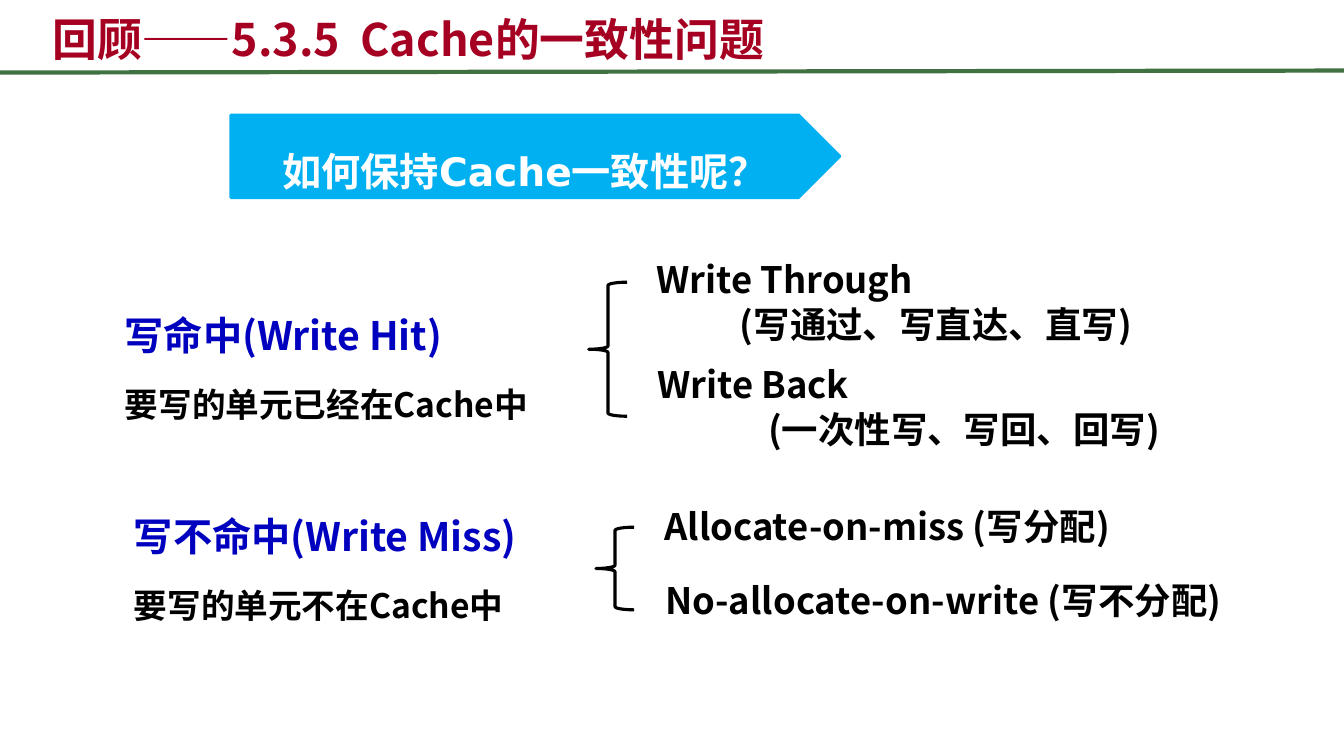
from lxml import etree
from pptx import Presentation
from pptx.dml.color import RGBColor
from pptx.enum.shapes import MSO_CONNECTOR, MSO_SHAPE
from pptx.enum.text import MSO_ANCHOR, MSO_AUTO_SIZE, PP_ALIGN
from pptx.oxml.ns import qn
from pptx.util import Inches, Pt

STRAIGHT = MSO_CONNECTOR.STRAIGHT
PENTAGON, BRACE = MSO_SHAPE.PENTAGON, MSO_SHAPE.LEFT_BRACE
MIDDLE, BOTTOM = MSO_ANCHOR.MIDDLE, MSO_ANCHOR.BOTTOM
GROW, CENTER = MSO_AUTO_SIZE.SHAPE_TO_FIT_TEXT, PP_ALIGN.CENTER

FONT, LATIN_FONT = "Noto Sans CJK SC", "DejaVu Sans"
RED, BLUE, BLACK, WHITE = "A50021", "0000BF", "000000", "FFFFFF"
GREEN, CYAN = "3F7141", "00B0F0"
LOOSE = 1.6

TITLE = "回顾——5.3.5  Cache的一致性问题"
QUESTION = "如何保持Cache一致性呢？"
CASES = [
    {
        "at": (1.14, 2.76),
        "name": "写命中(Write Hit)",
        "meaning": "要写的单元已经在Cache中",
        "brace": (5.84, 2.8, 0.38, 1.33),
        "policies": [
            ((6.41, 2.5, 6.63, 1), "Write Through", "(写通过、写直达、直写)", 0.83),
            ((6.42, 3.54, 5.64, 1), "Write Back", "(一次性写、写回、回写)", 1.1),
        ],
    },
    {
        "at": (1.23, 4.75),
        "name": "写不命中(Write Miss)",
        "meaning": "要写的单元不在Cache中",
        "brace": (5.91, 5.23, 0.38, 0.82),
        "policies": [
            ((6.49, 4.95, 5.64, 0.54), "Allocate-on-miss (写分配)", None, 0),
            ((6.5, 5.69, 6.1, 0.54), "No-allocate-on-write (写不分配)", None, 0),
        ],
    },
]
CASE_SIZE = (5.13, 1.44)


def color(value):
    return RGBColor.from_string(value)


def write(tf, lines, spacing=None, font=FONT, align=None):
    tf.word_wrap = True
    for i, (text, size, ink, indent) in enumerate(lines):
        p = tf.add_paragraph() if i else tf.paragraphs[0]
        p.text = text
        p.alignment = align
        if spacing:
            p.line_spacing = spacing
        if i:
            p.space_before = Pt(size * 0.05)
        if indent:
            p._p.get_or_add_pPr().set("marL", str(Inches(indent)))
        r = p.runs[0]
        r.font.size = Pt(size)
        r.font.bold = True
        r.font.name = font
        r.font.color.rgb = color(ink)
        ea = etree.SubElement(r._r.get_or_add_rPr(), qn("a:ea"))
        ea.set("typeface", FONT)


def add_text(slide, box, lines, spacing=None):
    sp = slide.shapes.add_textbox(*map(Inches, box))
    write(sp.text_frame, lines, spacing)
    sp.text_frame.auto_size = GROW
    return sp


def add_shape(slide, kind, box, line, width, fill=None):
    sp = slide.shapes.add_shape(kind, *map(Inches, box))
    sp.shadow.inherit = False
    if fill:
        sp.fill.solid()
        sp.fill.fore_color.rgb = color(fill)
    else:
        sp.fill.background()
    sp.line.color.rgb = color(line)
    sp.line.width = Pt(width)
    return sp


def main():
    prs = Presentation()
    prs.slide_width, prs.slide_height = Inches(13.33), Inches(7.5)
    slide = prs.slides.add_slide(prs.slide_layouts[6])

    rule = slide.shapes.add_connector(
        STRAIGHT, 0, Inches(0.72), prs.slide_width, Inches(0.7))
    rule.line.color.rgb = color(GREEN)
    rule.line.width = Pt(3)
    etree.SubElement(rule._element.spPr, qn("a:effectLst"))

    banner = add_shape(slide, PENTAGON, (2.29, 1.14, 6.04, 0.82), CYAN, 2, CYAN)
    write(banner.text_frame, [(QUESTION, 28, WHITE, 0)], LOOSE, LATIN_FONT, CENTER)
    banner.text_frame.vertical_anchor = MIDDLE

    for case in CASES:
        lines = [(case["name"], 28, BLUE, 0), (case["meaning"], 24, BLACK, 0)]
        add_text(slide, case["at"] + CASE_SIZE, lines, LOOSE)
        add_shape(slide, BRACE, case["brace"], BLACK, 2.25)
        for box, policy, chinese, indent in case["policies"]:
            lines = [(policy, 26, BLACK, 0)]
            if chinese:
                lines.append((chinese, 26, BLACK, indent))
            add_text(slide, box, lines)

    title = add_text(slide, (0.42, -0.04, 10.24, 0.74), [(TITLE, 32, RED, 0)])
    title.text_frame.auto_size = MSO_AUTO_SIZE.NONE
    title.text_frame.vertical_anchor = BOTTOM

    prs.save("out.pptx")


if __name__ == "__main__":
    main()
